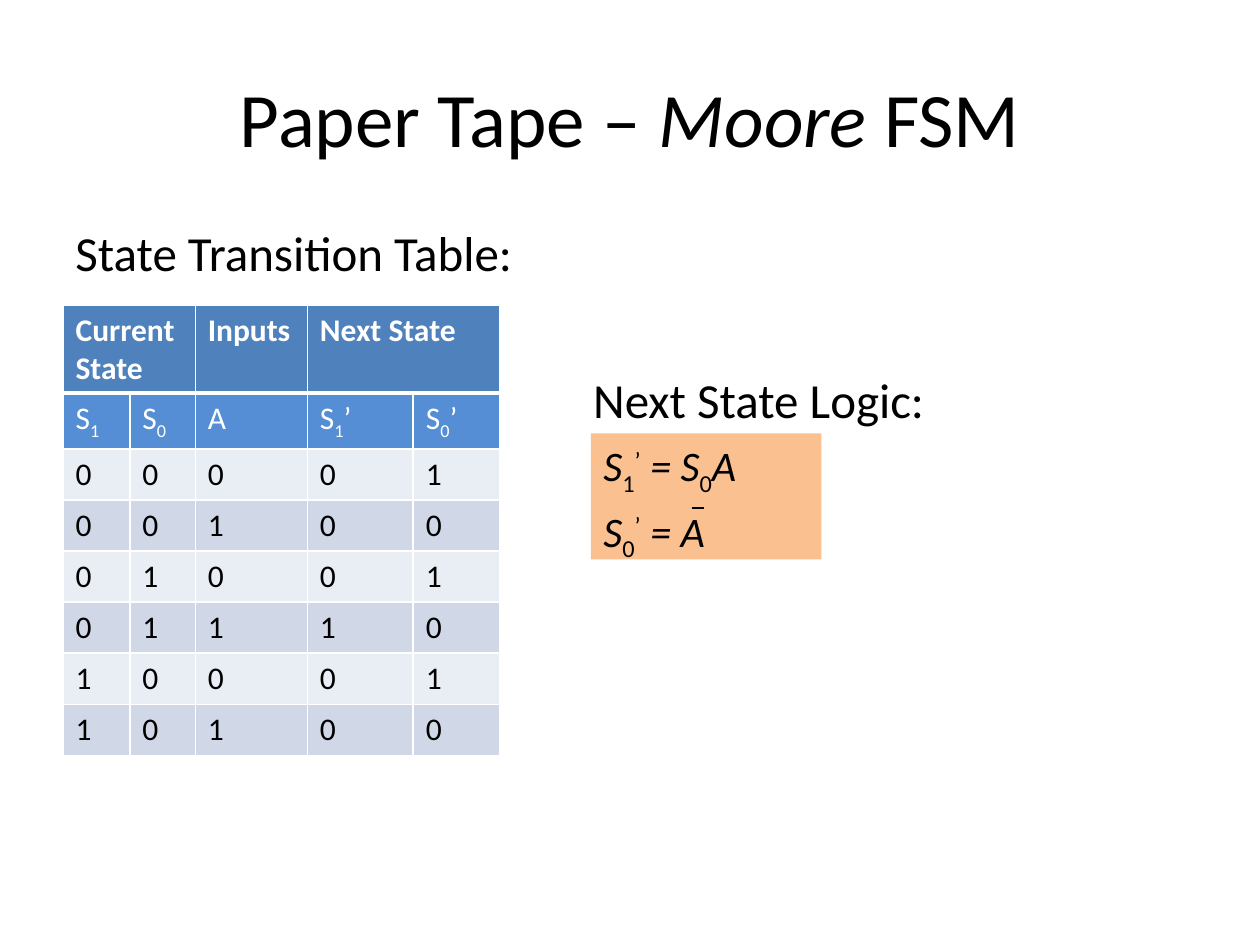
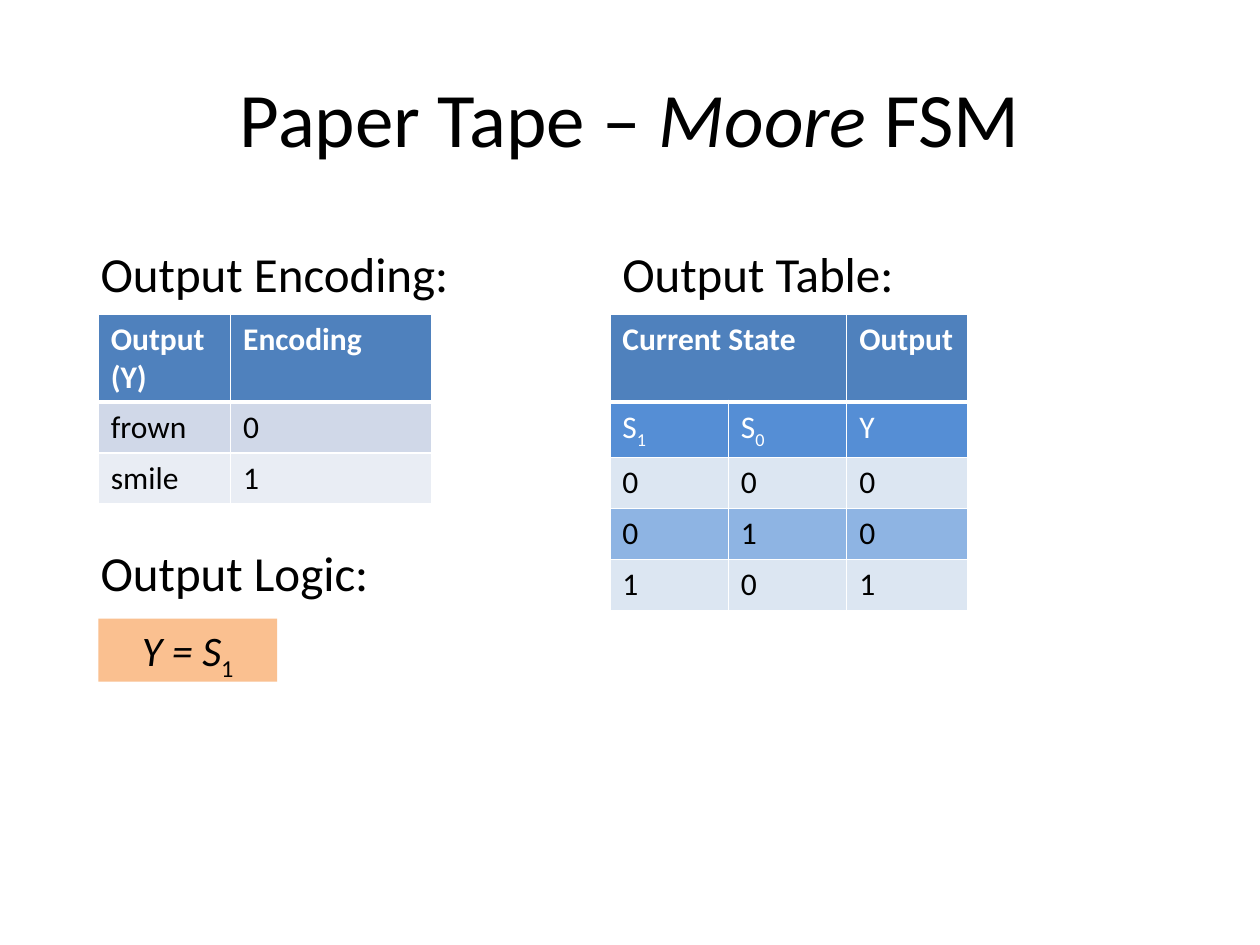
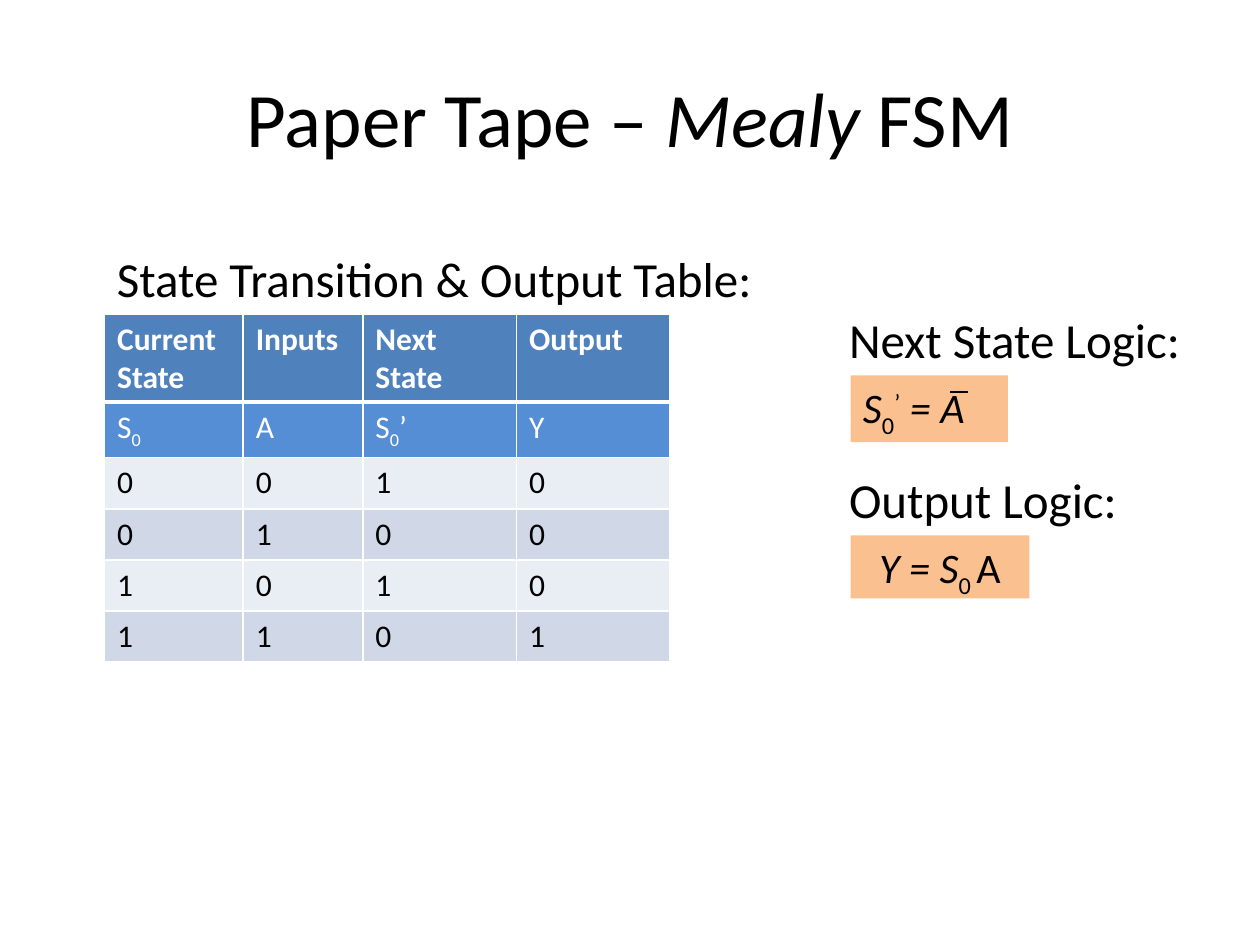
from dataclasses import dataclass

from lxml import etree
from pptx import Presentation
from pptx import util as u
from pptx.dml.color import RGBColor
from pptx.enum import shapes, text
from pptx.oxml.ns import qn


@dataclass(frozen=True)
class Theme:
    font: str = "Calibri"
    title_size: float = 44
    heading_size: float = 28
    formula_size: float = 24
    cell_size: float = 18
    ink: str = "000000"
    paper: str = "FFFFFF"
    header: str = "4F81BD"
    symbols: str = "558ED5"
    formula: str = "FAC090"
    grey_bands: tuple = ("E9EDF4", "D0D8E8")
    blue_bands: tuple = ("DCE6F2", "8EB4E3")
    rule: float = 1
    header_rule: float = 3
    overbar: float = 1.25


THEME = Theme()
SLIDE_W, SLIDE_H = u.Inches(10), u.Inches(7.5)
COLS, ROWS = 100, 75
HEADING_ROWS = 5.7
HEADER_ROWS = 7
SUBSCRIPT, SUPERSCRIPT = -25000, 30000


def x(cols):
    return u.Emu(round(SLIDE_W * cols / COLS))


def y(rows):
    return u.Emu(round(SLIDE_H * rows / ROWS))


def place(left, top, width, height):
    return x(left), y(top), x(width), y(height)


def rgb(value):
    return RGBColor.from_string(value)


def split_markup(markup):
    """Yield (piece, marks): * toggles italic, _ subscript, ^ superscript."""
    piece, marks = "", frozenset()
    for char in markup:
        if char in "*_^":
            if piece:
                yield piece, marks
            piece, marks = "", marks ^ {char}
        else:
            piece += char
    if piece:
        yield piece, marks


def write(tf, *lines, size, color=THEME.ink, bold=False, align=None,
          anchor=text.MSO_ANCHOR.TOP, wrap=True, grow=False, before=0, hang=0):
    tf.word_wrap = wrap
    tf.vertical_anchor = anchor
    if grow:
        tf.auto_size = text.MSO_AUTO_SIZE.SHAPE_TO_FIT_TEXT
    for i, line in enumerate(lines):
        p = tf.add_paragraph() if i else tf.paragraphs[0]
        p.alignment = align or text.PP_ALIGN.LEFT
        p.space_before = u.Pt(before)
        if hang:
            pPr = p._p.get_or_add_pPr()
            pPr.set("marL", str(x(hang)))
            pPr.set("indent", str(-x(hang)))
        for piece, marks in split_markup(line):
            r = p.add_run()
            r.text = piece
            r.font.name, r.font.size = THEME.font, u.Pt(size)
            r.font.bold, r.font.italic = bold, "*" in marks
            r.font.color.rgb = rgb(color)
            if "_" in marks:
                r._r.get_or_add_rPr().set("baseline", str(SUBSCRIPT))
            elif "^" in marks:
                r._r.get_or_add_rPr().set("baseline", str(SUPERSCRIPT))


def add_title(slide, title):
    sp = slide.shapes.add_textbox(*place(5, 3, 90, 12.5))
    write(sp.text_frame, title, size=THEME.title_size,
          align=text.PP_ALIGN.CENTER, anchor=text.MSO_ANCHOR.MIDDLE)


def add_heading(slide, box, heading, offset, width):
    """Put a heading at an offset from the top left corner of its box."""
    sp = slide.shapes.add_textbox(
        *place(box[0] + offset[0], box[1] + offset[1], width, HEADING_ROWS))
    write(sp.text_frame, heading, size=THEME.heading_size, wrap=False, grow=True)


def set_borders(cell, **widths):
    tcPr = cell._tc.get_or_add_tcPr()
    for i, side in enumerate("LRTB"):
        ln = etree.Element(qn(f"a:ln{side}"),
                           w=str(u.Pt(widths.get(side, THEME.rule))))
        fill = etree.SubElement(ln, qn("a:solidFill"))
        etree.SubElement(fill, qn("a:srgbClr"), val=THEME.paper)
        tcPr.insert(i, ln)


def add_state_table(slide, box, col_widths, header, body, symbols=None,
                    bands=THEME.grey_bands):
    """Fill box with a table; None in the header joins the cell to its left."""
    rows = [header] + ([symbols] if symbols else []) + body
    first_body = len(rows) - len(body)
    left, top, height = box
    frame = slide.shapes.add_table(
        len(rows), len(header), *place(left, top, sum(col_widths), height))
    table = frame.table
    table.first_row = table.horz_banding = False
    for col, width in zip(table.columns, col_widths):
        col.width = x(width)
    for i, row in enumerate(table.rows):
        row.height = y((height - HEADER_ROWS) / (len(rows) - 1) if i else HEADER_ROWS)

    for i, values in enumerate(rows):
        if i == 0:
            fill, borders = THEME.header, {"B": THEME.header_rule}
        else:
            fill = THEME.symbols if i < first_body else bands[(i - first_body) % 2]
            borders = {"T": THEME.header_rule} if i == 1 else {}
        for j, value in enumerate(values):
            cell = table.cell(i, j)
            cell.fill.solid()
            cell.fill.fore_color.rgb = rgb(fill)
            set_borders(cell, **borders)
            if value is None:
                table.cell(i, j - 1).merge(cell)
            else:
                write(cell.text_frame, value, size=THEME.cell_size, bold=i == 0,
                      color=THEME.paper if i < first_body else THEME.ink)


def add_formula(slide, box, *lines, align=None, overbar=None):
    """Fill box with formulas; overbar is (left, top, length) inside it."""
    sp = slide.shapes.add_shape(shapes.MSO_SHAPE.RECTANGLE, *place(*box))
    sp.shadow.inherit = False
    sp.fill.solid()
    sp.fill.fore_color.rgb = rgb(THEME.formula)
    sp.line.fill.background()
    write(sp.text_frame, *lines, size=THEME.formula_size, align=align,
          before=THEME.formula_size * 0.2, hang=3.75)
    if overbar:
        left, top = box[0] + overbar[0], y(box[1] + overbar[1])
        bar = slide.shapes.add_connector(
            shapes.MSO_CONNECTOR.STRAIGHT, x(left), top, x(left + overbar[2]), top)
        bar.line.color.rgb = rgb(THEME.ink)
        bar.line.width = u.Pt(THEME.overbar)
        etree.SubElement(bar._element.spPr, qn("a:effectLst"))


def bits(*rows):
    return [list(row) for row in rows]


def moore_transitions(slide):
    add_title(slide, "Paper Tape – *Moore* FSM")
    logic = (46.9, 34.4, 18.3, 10)
    add_formula(slide, logic, "*S*_1_^’^* = S*_0_*A*", "*S*_0_^’^* = A*",
                overbar=(8, 5.9, 1))
    add_heading(slide, logic, "Next State Logic:", (-0.8, -5.6), 28.6)
    transitions = (5, 24.2, 35.4)
    add_state_table(
        slide, transitions, (5.3, 5.2, 8.9, 8.4, 6.9),
        ["Current State", None, "Inputs", "Next State", None],
        bits("00001", "00100", "01001", "01110", "10001", "10100"),
        symbols=["S_1_", "S_0_", "A", "S_1_’", "S_0_’"])
    add_heading(slide, transitions, "State Transition Table:", (0, -7), 37.1)


def moore_outputs(slide):
    add_title(slide, "Paper Tape – *Moore* FSM")
    outputs = (48.4, 24.9, 23.2)
    add_state_table(slide, outputs, (9.4, 9.4, 9.6), ["Current State", None, "Output"],
                    bits("000", "010", "101"), symbols=["S_1_", "S_0_", "Y"],
                    bands=THEME.blue_bands)
    encoding = (7.8, 24.9, 15.1)
    add_state_table(slide, encoding, (10.5, 16), ["Output (Y)", "Encoding"],
                    [["frown", "0"], ["smile", "1"]], bands=THEME.grey_bands[::-1])
    logic = (7.8, 49.1, 14.2, 5)
    add_heading(slide, logic, "Output Logic:", (-0.8, -6.5), 23.5)
    add_formula(slide, logic, "*Y = S*_1_", align=text.PP_ALIGN.CENTER)
    add_heading(slide, encoding, "Output Encoding:", (-0.8, -6.1), 29.9)
    add_heading(slide, outputs, "Output Table:", (0, -6.1), 23.8)


def mealy_machine(slide):
    add_title(slide, "Paper Tape – *Mealy* FSM")
    transitions = (8.3, 24.9, 27.3)
    add_state_table(
        slide, transitions, (11, 9.5, 12.2, 12.2),
        ["Current State", "Inputs", "Next State", "Output"],
        bits("0010", "0100", "1010", "1101"),
        symbols=["S_0_", "A", "S_0_’", "Y"])
    add_heading(slide, transitions, "State Transition & Output Table:", (0, -5.7), 53)
    output_logic = (67.5, 42.5, 14.2, 5)
    add_heading(slide, output_logic, "Output Logic:", (-1.1, -5.7), 23.5)
    add_formula(slide, output_logic, "*Y = S*_0 _A", align=text.PP_ALIGN.CENTER)
    state_logic = (67.5, 29.8, 12.5, 5.3)
    add_formula(slide, state_logic, "*S*_0_^’^* = A*", overbar=(7.9, 1.3, 1.4))
    add_heading(slide, state_logic, "Next State Logic:", (-1.1, -5.7), 28.6)


def main():
    prs = Presentation()
    prs.slide_width, prs.slide_height = SLIDE_W, SLIDE_H
    blank = prs.slide_layouts[6]
    for build in (moore_transitions, moore_outputs, mealy_machine):
        build(prs.slides.add_slide(blank))
    prs.save("out.pptx")


if __name__ == "__main__":
    main()
